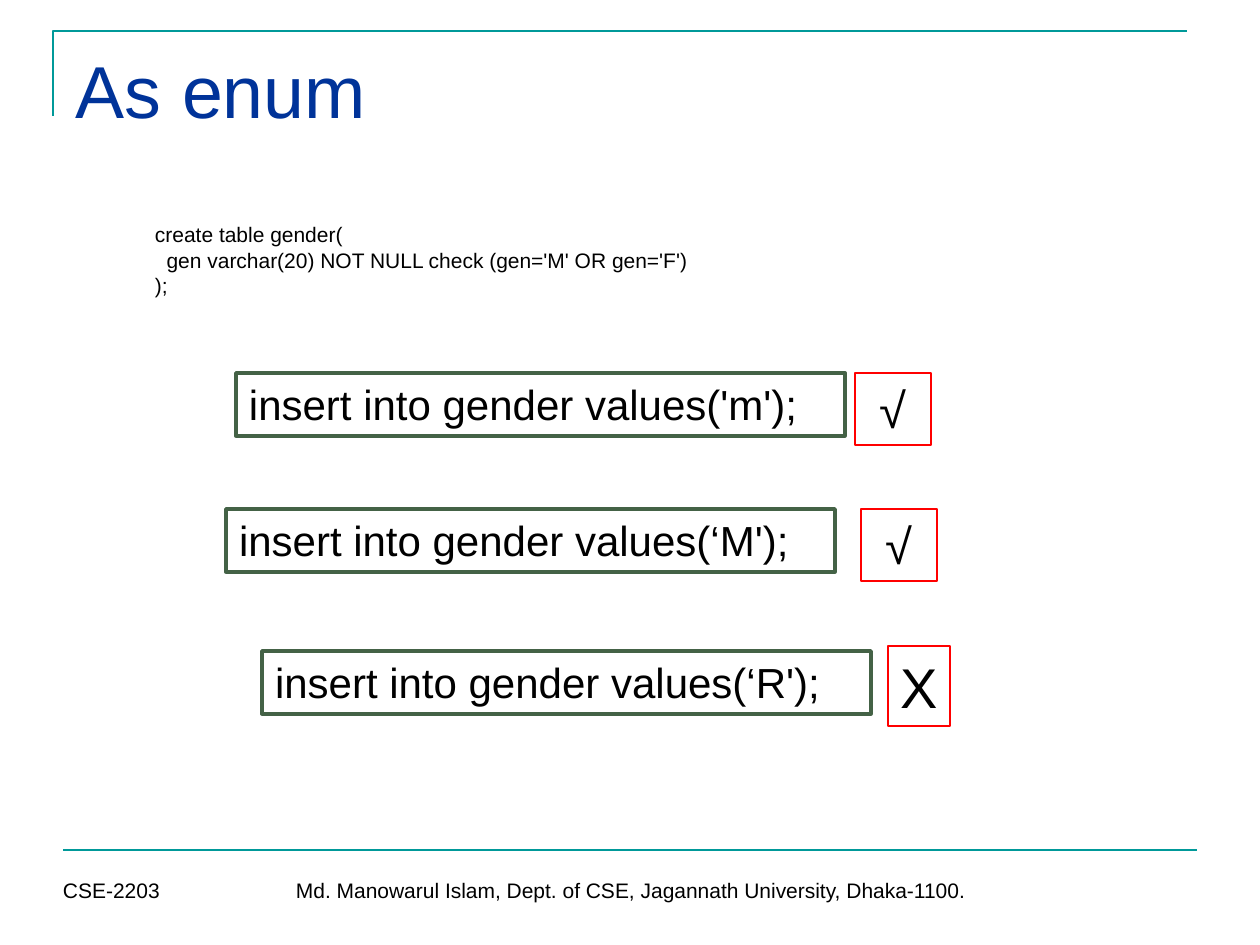
"""Build the "As enum" slide: a checked column and three insert attempts."""
from lxml.etree import SubElement
from pptx import Presentation
from pptx.dml.color import RGBColor
from pptx.enum.shapes import MSO_CONNECTOR, MSO_SHAPE
from pptx.enum.text import MSO_ANCHOR, PP_ALIGN
from pptx.oxml.ns import qn
from pptx.util import Pt

SCALE = 914400 / 126
TEAL = RGBColor(0x00, 0x99, 0x99)
NAVY = RGBColor(0x00, 0x33, 0x99)
GREEN = RGBColor(0x44, 0x62, 0x46)
RED = RGBColor(0xFF, 0x00, 0x00)
BLACK = RGBColor(0x00, 0x00, 0x00)
WHITE = RGBColor(0xFF, 0xFF, 0xFF)

TITLE = ("As enum", (63, 39, 1134, 157))
CORNER = [(53, 116), (53, 31), (1187, 31)]
FOOTER_RULE = (63, 850, 1197, 850)
FOOTERS = [
    ("CSE-2203", (50, 872, 136, 38)),
    ("Md. Manowarul Islam, Dept. of CSE, Jagannath University, Dhaka-1100.",
     (283, 872, 703, 38)),
]
TABLE_CODE = (
    "create table gender(\n"
    "  gen varchar(20) NOT NULL check (gen='M' OR gen='F')\n"
    ");",
    (142, 216, 630, 88),
)
STATEMENT_SIZE = (609, 63)
ATTEMPTS = [
    ("insert into gender values('m');", (236, 373), "√", (855, 373, 76, 72), 28),
    ("insert into gender values(‘M');", (226, 509), "√", (861, 509, 76, 72), 28),
    ("insert into gender values(‘R');", (262, 651), "X", (888, 646, 62, 80), 32),
]


def px(*lengths):
    return [round(length * SCALE) for length in lengths]


def write(shape, text, size, color=BLACK, align=PP_ALIGN.LEFT, wrap=True):
    frame = shape.text_frame
    frame.text = text
    insets = dict(zip(("margin_left", "margin_top", "margin_right", "margin_bottom"),
                      px(13, 6, 13, 6)))
    for name, value in {"word_wrap": wrap, "vertical_anchor": MSO_ANCHOR.TOP,
                        **insets}.items():
        setattr(frame, name, value)
    for paragraph in frame.paragraphs:
        paragraph.alignment = align
        for name, value in {"name": "Arial", "size": Pt(size)}.items():
            setattr(paragraph.font, name, value)
        paragraph.font.color.rgb = color


def outline(shape, color, width):
    shape.line.color.rgb = color
    shape.line.width = Pt(width)


def add_text(shapes, text, box, size):
    write(shapes.add_textbox(*px(*box)), text, size)


def add_box(shapes, box, color, width):
    shape = shapes.add_shape(MSO_SHAPE.RECTANGLE, *px(*box))
    shape.shadow.inherit = False
    outline(shape, color, width)
    return shape


def add_frame_lines(shapes):
    builder = shapes.build_freeform(*CORNER[0], scale=SCALE)
    builder.add_line_segments(CORNER[1:], close=False)
    corner = builder.convert_to_shape()
    corner.shadow.inherit = False
    corner.fill.background()
    outline(corner, TEAL, 1.5)
    rule = shapes.add_connector(MSO_CONNECTOR.STRAIGHT, *px(*FOOTER_RULE))
    outline(rule, TEAL, 1.5)
    SubElement(rule._element.spPr, qn("a:effectLst"))


def add_attempt(shapes, statement, corner, verdict, verdict_box, verdict_size):
    statement_box = add_box(shapes, corner + STATEMENT_SIZE, GREEN, 2)
    statement_box.fill.solid()
    statement_box.fill.fore_color.rgb = WHITE
    write(statement_box, statement, 24)
    mark = add_box(shapes, verdict_box, RED, 0.75)
    mark.fill.background()
    write(mark, verdict, verdict_size, align=PP_ALIGN.CENTER, wrap=False)


def main():
    deck = Presentation()
    deck.slide_width, deck.slide_height = px(1260, 945)
    shapes = deck.slides.add_slide(deck.slide_layouts[5]).shapes

    add_frame_lines(shapes)
    for text, box in FOOTERS:
        add_text(shapes, text, box, 12)

    heading, heading_box = TITLE
    for name, value in zip(("left", "top", "width", "height"), px(*heading_box)):
        setattr(shapes.title, name, value)
    write(shapes.title, heading, 42, NAVY)

    add_text(shapes, *TABLE_CODE, 12)
    for attempt in ATTEMPTS:
        add_attempt(shapes, *attempt)

    deck.save("out.pptx")


if __name__ == "__main__":
    main()
